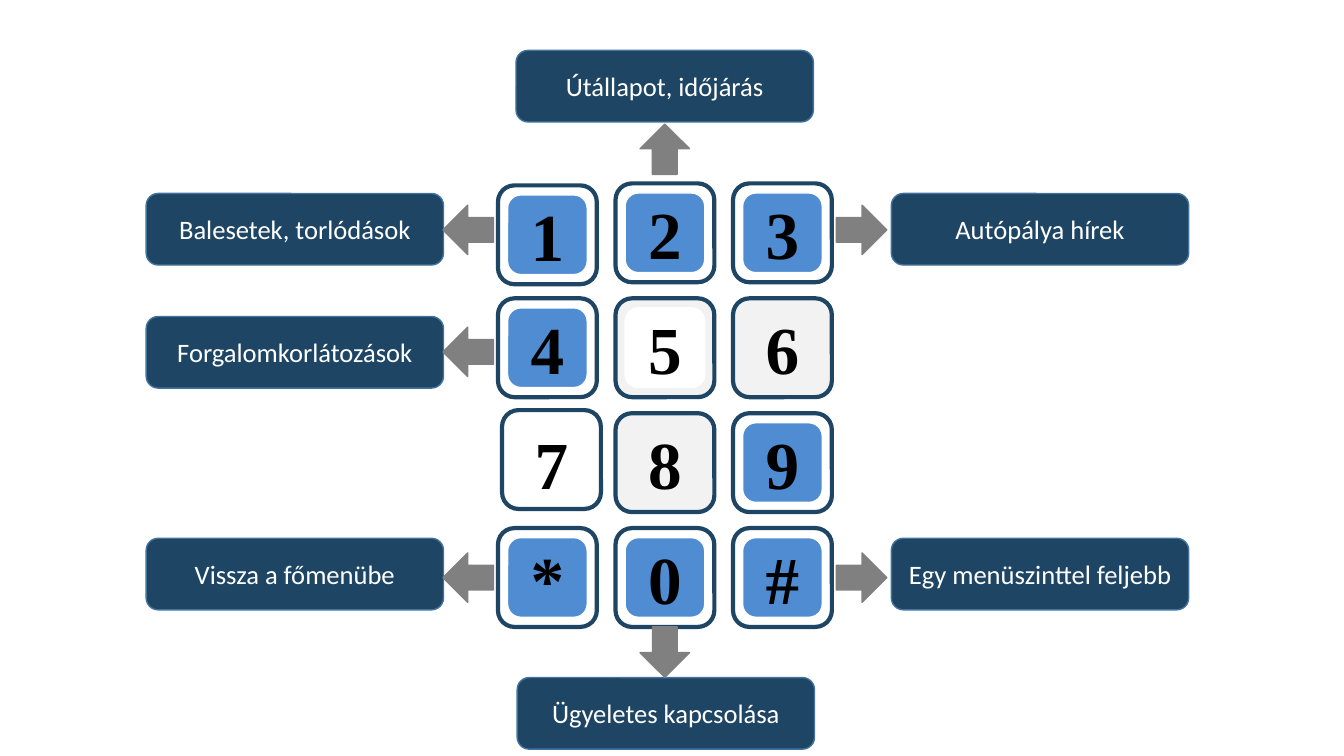
from pptx import Presentation
from pptx.dml.color import RGBColor
from pptx.enum.shapes import MSO_SHAPE
from pptx.enum.text import MSO_ANCHOR, PP_ALIGN
from pptx.util import Pt

ROUND = MSO_SHAPE.ROUNDED_RECTANGLE
ARROW = MSO_SHAPE.UP_ARROW
MIDDLE = MSO_ANCHOR.MIDDLE
CENTER = PP_ALIGN.CENTER

NAVY, BLUE, WHITE, PALE, GREY, EDGE = (
    "1E4664", "508CD2", "FFFFFF", "F2F2F2", "808080", "43739E")
DIGIT = {"name": "Times New Roman", "size": Pt(48), "bold": True}
LABEL = {"name": "Calibri", "size": Pt(19), "bold": False}

KEY, CAP = 70.6, 56.9
ROWS, COLS = 4, 3
KEYS = [
    ("1", WHITE, BLUE), ("2", WHITE, BLUE), ("3", WHITE, BLUE),
    ("4", WHITE, BLUE), ("5", PALE, WHITE), ("6", PALE, None),
    ("7", WHITE, WHITE), ("8", PALE, None), ("9", WHITE, BLUE),
    ("*", WHITE, BLUE), ("0", WHITE, BLUE), ("#", WHITE, BLUE),
]
SHIFTS = {"1": (0, 1.4), "7": (2.9, -2.2)}

NOTES = [
    ("Útállapot, időjárás", "up", -95, -42.4),
    ("Autópálya hírek", "right", 7.2, 15.2),
    ("Egy menüszinttel feljebb", "right", 253.5, 263.6),
    ("Ügyeletes kapcsolása", "down", 353, 316.8),
    ("Balesetek, torlódások", "left", 7.2, 15.2),
    ("Forgalomkorlátozások", "left", 95.1, 102.3),
    ("Vissza a főmenübe", "left", 253.5, 263.6),
]


def paint(target, color):
    target.solid()
    target.fore_color.rgb = RGBColor.from_string(color)


def draw(slide, kind, box, fill, line, width=1):
    shape = slide.shapes.add_shape(kind, *map(Pt, box))
    shape.shadow.inherit = False
    paint(shape.fill, fill)
    paint(shape.line.fill, line)
    shape.line.width = Pt(width)
    return shape


def write(shape, text, color, style):
    frame = shape.text_frame
    frame.word_wrap = True
    frame.vertical_anchor = MIDDLE
    para = frame.paragraphs[0]
    para.alignment = CENTER
    run = para.add_run()
    run.text = text
    for name, value in style.items():
        setattr(run.font, name, value)
    paint(run.font.fill, color)


def keypad(slide, box):
    left, top, width, height = box
    step_x = (width - KEY) / (COLS - 1)
    step_y = (height - KEY) / (ROWS - 1)
    inset = (KEY - CAP) / 2
    for index, (text, back, front) in enumerate(KEYS):
        row, col = divmod(index, COLS)
        dx, dy = SHIFTS.get(text, (0, 0))
        x, y = left + col * step_x + dx, top + row * step_y + dy
        key = draw(slide, ROUND, (x, y, KEY, KEY), back, NAVY, 3)
        if front:
            cap_y = y + inset - min(dy, 0)
            key = draw(slide, ROUND, (x + inset, cap_y, CAP, CAP), front, WHITE)
        write(key, text, "000000", DIGIT)


def callouts(slide, box):
    left, top, width, height = box
    sides = {
        "left": (-251.3, -38.9, 270),
        "right": (width + 42.5, width + 3.6, 90),
        "up": (12.9, 101.5, 0),
        "down": (13.7, 101.5, 180),
    }
    for text, side, label_y, arrow_y in NOTES:
        label_x, arrow_x, turn = sides[side]
        label = draw(slide, ROUND, (left + label_x, top + label_y, 212.4, 51.1),
                     NAVY, EDGE)
        write(label, text, WHITE, LABEL)
        arrow = draw(slide, ARROW, (left + arrow_x, top + arrow_y, 35.3, 36),
                     GREY, GREY)
        arrow.rotation = turn


def main():
    deck = Presentation()
    deck.slide_width, deck.slide_height = Pt(960), Pt(540)
    slide = deck.slides.add_slide(deck.slide_layouts[6])
    pad = (355.7, 131, 238.5, 316.8)
    keypad(slide, pad)
    callouts(slide, pad)
    deck.save("out.pptx")


if __name__ == "__main__":
    main()
